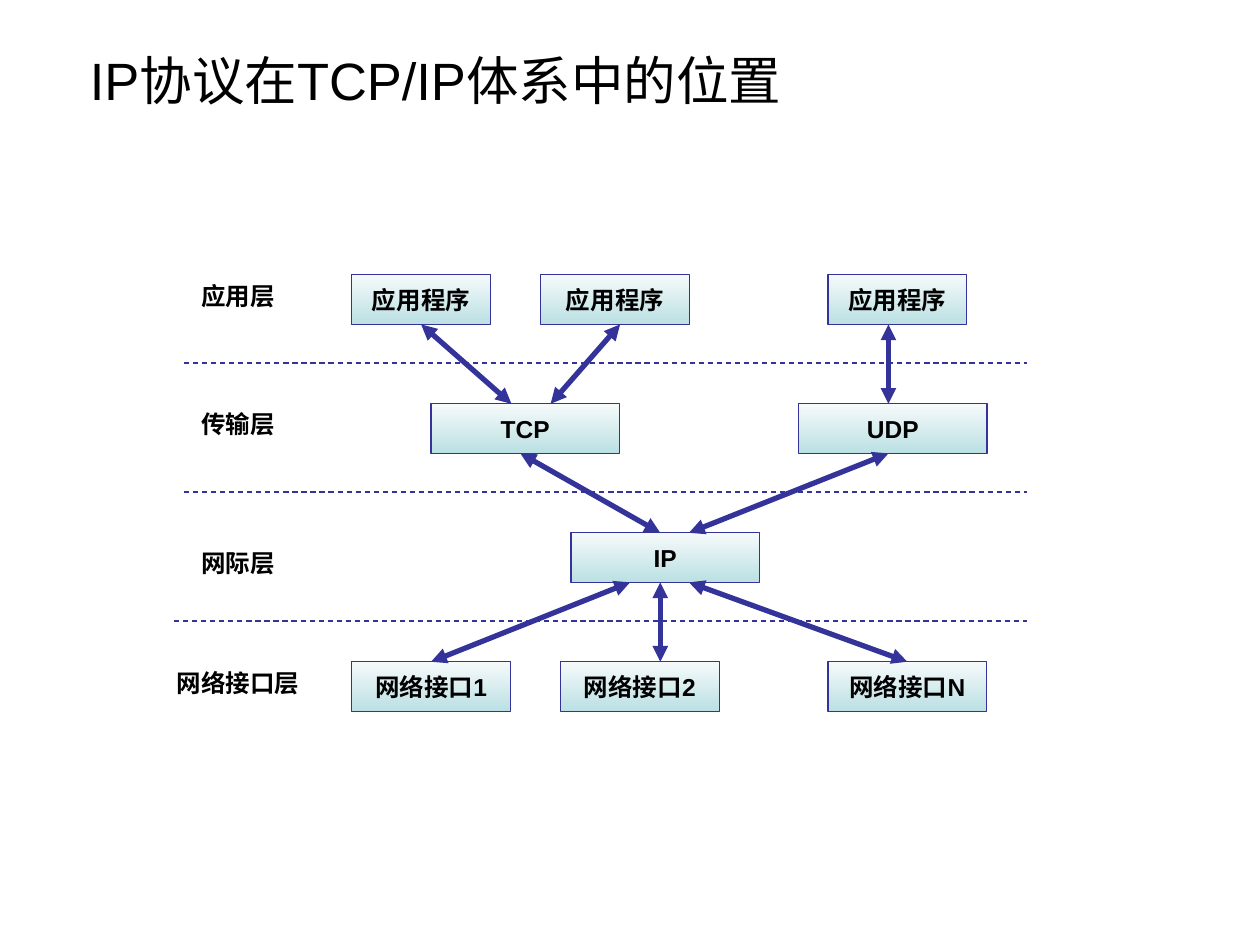
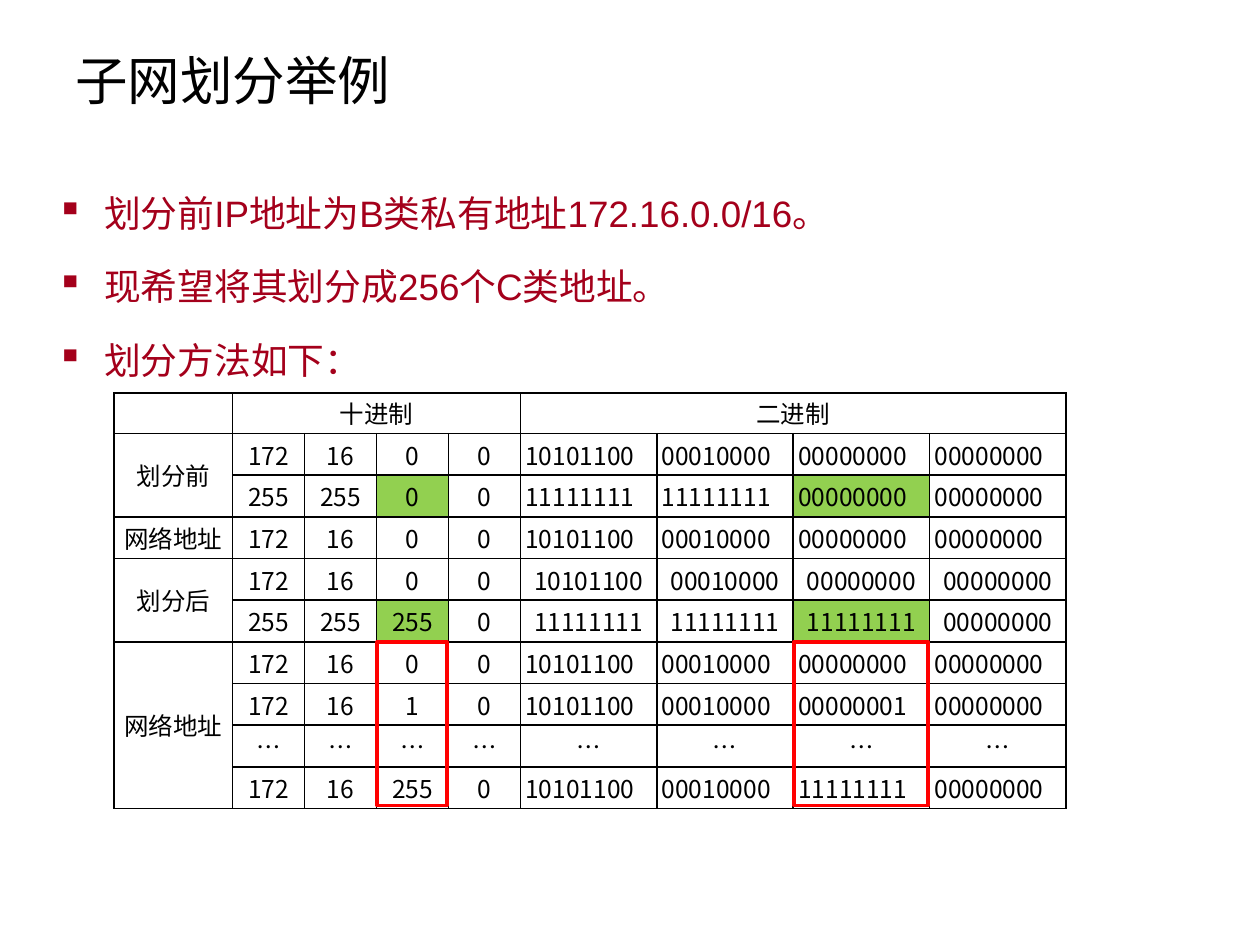
from dataclasses import dataclass
from itertools import accumulate

from lxml import etree
from pptx import Presentation
from pptx import util as u
from pptx.dml.color import RGBColor
from pptx.enum import dml, shapes, text
from pptx.oxml.ns import qn


@dataclass(frozen=True)
class Theme:
    latin: str = "Arial"
    chinese: str = "Noto Sans CJK SC"
    title_size: int = 30
    bullet_size: int = 21
    bullet_pitch: int = 42
    body_size: int = 14
    ink: str = "000000"
    paper: str = "FFFFFF"
    crimson: str = "A4001B"
    navy: str = "333399"
    box_top: str = "F6FAFB"
    box_bottom: str = "BBE0E3"
    green: str = "92D050"
    red: str = "FF0000"


THEME = Theme()
CENTER = text.PP_ALIGN.CENTER
MIDDLE = text.MSO_ANCHOR.MIDDLE

# Layer diagram, in cm
LEVEL_TOP, LEVEL_STEP, BOX_HEIGHT = 5.54, 2.6, 1.0
LAYERS = [("应用层", 5.54), ("传输层", 8.13), ("网际层", 10.92), ("网络接口层", 13.34)]
BOXES = {  # key: (level, left, width, label)
    "app 1": (0, 7.09, 2.8, "应用程序"),
    "app 2": (0, 10.9, 3.0, "应用程序"),
    "app 3": (0, 16.69, 2.8, "应用程序"),
    "tcp": (1, 8.69, 3.8, "TCP"),
    "udp": (1, 16.1, 3.8, "UDP"),
    "ip": (2, 11.51, 3.8, "IP"),
    "port 1": (3, 7.09, 3.2, "网络接口1"),
    "port 2": (3, 11.3, 3.2, "网络接口2"),
    "port n": (3, 16.69, 3.2, "网络接口N"),
}
ARROWS = [  # upper level, upper x, lower x, box joined above, box joined below
    (0, 8.51, 10.31, "app 1", None),
    (0, 12.5, 11.1, None, None),
    (0, 17.91, 17.91, None, None),
    (1, 17.91, 13.89, None, None),
    (1, 10.49, 13.31, None, None),
    (2, 12.7, 8.69, None, "port 1"),
    (2, 13.31, 13.31, None, None),
    (2, 13.89, 18.29, None, "port n"),
]

# Subnet table, in cm
TABLE_LEFT, TABLE_TOP = 2.3, 7.92
COLUMNS = [2.39] + [1.45] * 4 + [2.75] * 4
ROWS = [0.82] + [0.84] * 9
ADDRESSES = [
    (172, 16, 0, 0),
    (255, 255, 0, 0),
    (172, 16, 0, 0),
    (172, 16, 0, 0),
    (255, 255, 255, 0),
    (172, 16, 0, 0),
    (172, 16, 1, 0),
    ("…",) * 4,
    (172, 16, 255, 0),
]
MERGES = [  # first row, first column, last row, last column, heading
    (0, 1, 0, 4, "十进制"),
    (0, 5, 0, 8, "二进制"),
    (1, 0, 2, 0, "划分前"),
    (3, 0, 3, 0, "网络地址"),
    (4, 0, 5, 0, "划分后"),
    (6, 0, 9, 0, "网络地址"),
]
THIRD_OCTETS = (3, 7)
MASK_ROWS = (2, 5)
CENTERED_BINARY_ROWS = (4, 5, 8)


def rgb(value):
    return RGBColor.from_string(value)


def cm(*lengths):
    return [u.Cm(length) for length in lengths]


def style(paragraph, size, color=THEME.ink, bold=False, latin=THEME.latin, align=None):
    font = paragraph.font
    font.name, font.size, font.bold = latin, u.Pt(size), bold
    font.color.rgb = rgb(color)
    defaults = paragraph._p.pPr.find(qn("a:defRPr"))
    etree.SubElement(defaults, qn("a:ea"), typeface=THEME.chinese)
    if align is not None:
        paragraph.alignment = align


def add_text(slide, place, words, size, **look):
    frame = slide.shapes.add_textbox(*cm(*place)).text_frame
    frame.word_wrap = True
    frame.text = words
    style(frame.paragraphs[0], size, **look)
    return frame


def add_title(slide, words):
    frame = add_text(slide, (1.27, 0.53, 20.83, 2.16), words, THEME.title_size)
    frame.vertical_anchor = MIDDLE


def add_bullets(slide, place, lines):
    frame = slide.shapes.add_textbox(*cm(*place)).text_frame
    frame.word_wrap = True
    for number, line in enumerate(lines):
        point = frame.paragraphs[0] if number == 0 else frame.add_paragraph()
        point.text = line
        point.line_spacing = u.Pt(THEME.bullet_pitch)
        props = point._p.get_or_add_pPr()
        props.set("marL", str(u.Cm(0.96)))
        props.set("indent", str(u.Cm(-0.96)))
        etree.SubElement(props, qn("a:buChar"), char="▪")
        style(point, THEME.bullet_size, THEME.crimson)


def add_rectangle(slide, place, line_color, line_width):
    rectangle = slide.shapes.add_shape(shapes.MSO_SHAPE.RECTANGLE, *cm(*place))
    rectangle.shadow.inherit = False
    rectangle.line.color.rgb = rgb(line_color)
    rectangle.line.width = u.Pt(line_width)
    return rectangle


def level_top(level):
    return LEVEL_TOP + level * LEVEL_STEP


def add_protocol_box(slide, level, left, width, label):
    box = add_rectangle(slide, (left, level_top(level), width, BOX_HEIGHT), THEME.navy, 0.75)
    box.fill.gradient()
    box.fill.gradient_angle = 270
    for stop, color in zip(box.fill.gradient_stops, (THEME.box_top, THEME.box_bottom)):
        stop.color.rgb = rgb(color)
    frame = box.text_frame
    frame.word_wrap = False
    frame.vertical_anchor = MIDDLE
    frame.text = label
    style(frame.paragraphs[0], THEME.body_size, bold=True, align=CENTER)
    return box


def add_line(slide, start, end, width):
    line = slide.shapes.add_connector(shapes.MSO_CONNECTOR.STRAIGHT, *cm(*start, *end))
    line.line.color.rgb = rgb(THEME.navy)
    line.line.width = u.Pt(width)
    etree.SubElement(line._element.spPr, qn("a:effectLst"))
    return line


def add_separator(slide, left, y):
    separator = add_line(slide, (left, y), (20.7, y), 0.75)
    separator.line.dash_style = dml.MSO_LINE.DASH


def add_double_arrow(slide, level, upper_x, lower_x, above, below):
    arrow = add_line(slide, (upper_x, level_top(level) + BOX_HEIGHT),
                     (lower_x, level_top(level + 1)), 3)
    for end in ("a:headEnd", "a:tailEnd"):
        etree.SubElement(arrow.line._get_or_add_ln(), qn(end), type="triangle")
    if above is not None:
        arrow.begin_connect(above, 2)
    if below is not None:
        arrow.end_connect(below, 0)


def add_borders(cell):
    props = cell._tc.get_or_add_tcPr()
    for position, side in enumerate("LRTB"):
        border = etree.Element(qn(f"a:ln{side}"), w=str(u.Pt(1)))
        fill = etree.SubElement(border, qn("a:solidFill"))
        etree.SubElement(fill, qn("a:srgbClr"), val=THEME.ink)
        props.insert(position, border)


def fill_cell(cell, words, color, align):
    cell.text = words
    cell.margin_left = cell.margin_right = u.Cm(0.1)
    cell.margin_top = cell.margin_bottom = u.Cm(0.05)
    cell.vertical_anchor = MIDDLE
    add_borders(cell)
    cell.fill.solid()
    cell.fill.fore_color.rgb = rgb(color)
    style(cell.text_frame.paragraphs[0], THEME.body_size, latin=THEME.chinese, align=align)


def binary(octet):
    return octet if octet == "…" else f"{octet:08b}"


def table_words():
    body = [["", *map(str, octets), *map(binary, octets)] for octets in ADDRESSES]
    words = [[""] * len(COLUMNS)] + body
    for row, column, _, _, heading in MERGES:
        words[row][column] = heading
    return words


def add_subnet_table(slide):
    frame = slide.shapes.add_table(len(ROWS), len(COLUMNS), *cm(
        TABLE_LEFT, TABLE_TOP, sum(COLUMNS), sum(ROWS)))
    table = frame.table
    table.first_row = table.horz_banding = False
    for column, width in zip(table.columns, COLUMNS):
        column.width = u.Cm(width)
    for row, height in zip(table.rows, ROWS):
        row.height = u.Cm(height)
    for r, row_words in enumerate(table_words()):
        for c, words in enumerate(row_words):
            marked = r in MASK_ROWS and c in THIRD_OCTETS
            left = r > 0 and c > 4 and r not in CENTERED_BINARY_ROWS
            fill_cell(table.cell(r, c), words, THEME.green if marked else THEME.paper,
                      text.PP_ALIGN.LEFT if left else CENTER)
    for top, left, bottom, right, _ in MERGES:
        if (top, left) != (bottom, right):
            table.cell(top, left).merge(table.cell(bottom, right))


def add_subnet_frame(slide, column):
    lefts = list(accumulate(COLUMNS, initial=TABLE_LEFT))
    top = TABLE_TOP + sum(ROWS[:6])
    place = (lefts[column] + 0.02, top, COLUMNS[column] - 0.05, sum(ROWS[6:]) - 0.06)
    add_rectangle(slide, place, THEME.red, 2.25).fill.background()


def build_layers(slide):
    add_title(slide, " IP协议在TCP/IP体系中的位置")
    # Layers and the lines between them
    for name, top in LAYERS:
        add_text(slide, (3.1, top, 3.4, 0.84), name, THEME.body_size, bold=True, align=CENTER)
    for number, left in enumerate((3.71, 3.71, 3.51)):
        add_separator(slide, left, 7.32 + number * LEVEL_STEP)
    # Protocols and their links
    boxes = {key: add_protocol_box(slide, *box) for key, box in BOXES.items()}
    for level, upper_x, lower_x, above, below in ARROWS:
        add_double_arrow(slide, level, upper_x, lower_x, boxes.get(above), boxes.get(below))


def build_subnets(slide):
    add_title(slide, "子网划分举例")
    add_bullets(slide, (0.89, 3.12, 23.04, 4.6), [
        "划分前IP地址为B类私有地址172.16.0.0/16。",
        "现希望将其划分成256个C类地址。",
        "划分方法如下：",
    ])
    add_subnet_table(slide)
    # Frames around the octet that numbers the subnets
    for column in THIRD_OCTETS:
        add_subnet_frame(slide, column)


def main():
    deck = Presentation()
    deck.slide_width, deck.slide_height = cm(25.4, 19.05)
    for build in (build_layers, build_subnets):
        build(deck.slides.add_slide(deck.slide_layouts[6]))
    deck.save("out.pptx")


if __name__ == "__main__":
    main()
